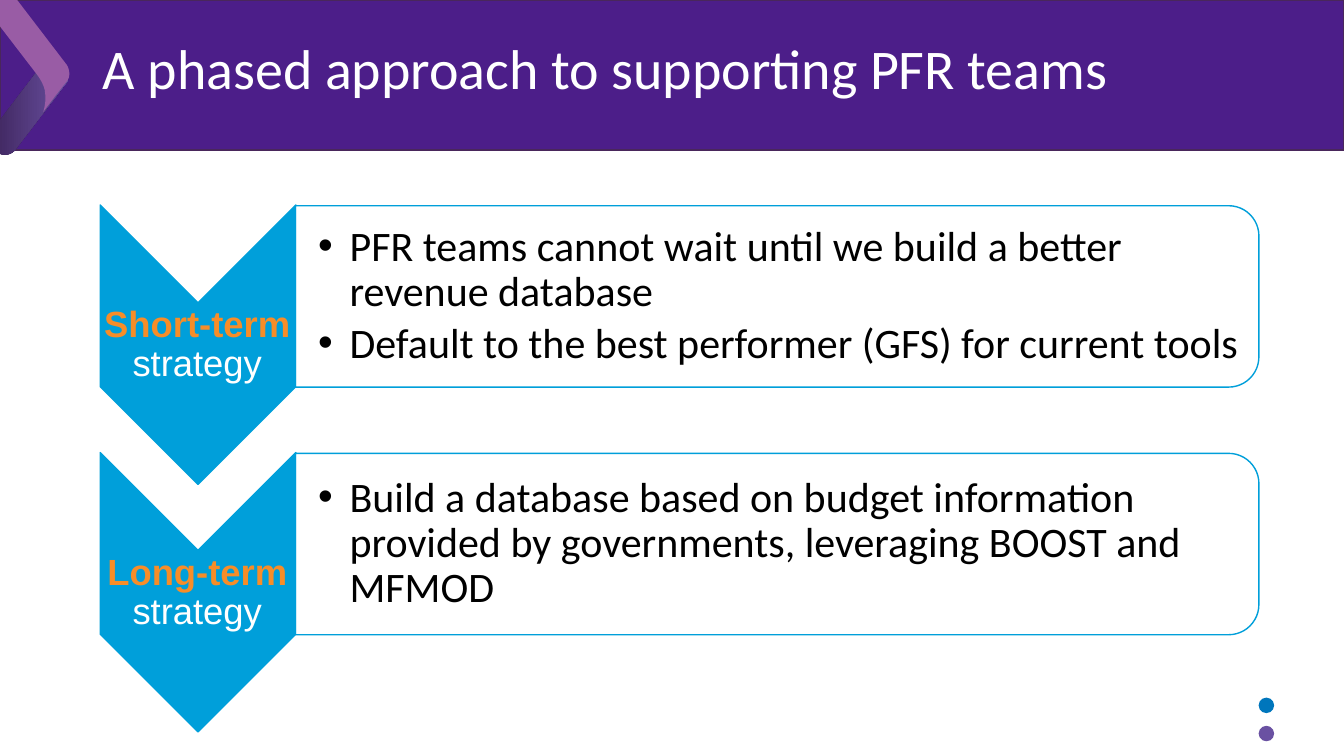
"""Build the slide on the phased approach to supporting PFR teams."""
from lxml import etree
from pptx import Presentation
from pptx.dml.color import RGBColor
from pptx.enum.shapes import MSO_SHAPE
from pptx.enum.text import MSO_ANCHOR, MSO_AUTO_SIZE, PP_ALIGN
from pptx.oxml.ns import qn
from pptx.util import Cm, Pt

RECTANGLE, OVAL, CHEVRON = MSO_SHAPE.RECTANGLE, MSO_SHAPE.OVAL, MSO_SHAPE.CHEVRON
ROUNDED_PANEL = MSO_SHAPE.ROUND_2_SAME_RECTANGLE
MIDDLE, NO_FIT = MSO_ANCHOR.MIDDLE, MSO_AUTO_SIZE.NONE
LEFT, CENTER = PP_ALIGN.LEFT, PP_ALIGN.CENTER

COLORS = {
    name: RGBColor.from_string(value)
    for name, value in {
        "banner": "4C1E89", "banner_line": "49275B",
        "fold_dark": "3D245B", "violet": "6A51A2", "ribbon": "995CA5",
        "dot_blue": "0076BC", "sky": "009FDA", "orange": "F78D28",
        "white": "FFFFFF", "black": "000000",
    }.items()
}
CURVE_STEPS = 8
STAGE_PITCH = 6.24
STAGES = [
    ("Short-term ", [
        "PFR teams cannot wait until we build a better revenue database",
        "Default to the best performer (GFS) for current tools",
    ]),
    ("Long-term ", [
        "Build a database based on budget information provided by "
        "governments, leveraging BOOST and MFMOD",
    ]),
]
FOLD = [
    [(0.38, 3.78)], [(1.68, 2.08)],
    [(1.78, 1.96), (1.75, 1.75), (1.6, 1.65)], [(1.52, 1.57)],
    [(1.4, 1.47), (1.19, 1.5), (1.07, 1.63)], [(-0.23, 3.33)],
    [(-0.33, 3.45), (-0.3, 3.66), (-0.15, 3.78)], [(-0.08, 3.84)],
    [(0.08, 3.94), (0.28, 3.91), (0.38, 3.78)],
]
RIBBON = [
    [(0.91, 1.85)], [(-0.18, 0.43)],
    [(-0.3, 0.25), (-0.28, 0.03), (-0.13, -0.1)],
    [(0.05, -0.23), (0.28, -0.18), (0.41, -0.03)], [(1.68, 1.63)],
    [(1.75, 1.73), (1.78, 1.91), (1.7, 2.03)],
    [(1.65, 2.08), (1.09, 2.82), (1.09, 2.82)],
    [(1.09, 2.82), (1.17, 2.59), (1.14, 2.36)],
    [(1.14, 2.13), (0.91, 1.85), (0.91, 1.85)],
]


def add_filled_shape(kind, box, fill, line=None, rotation=0):
    """Add a flat preset shape; box is left, top, width, height in cm."""
    shape = slide.shapes.add_shape(kind, *map(Cm, box))
    shape.shadow.inherit = False
    shape.rotation = rotation
    shape.fill.solid()
    shape.fill.fore_color.rgb = COLORS[fill]
    if line:
        shape.line.color.rgb = COLORS[line]
        shape.line.width = Pt(1)
    else:
        shape.line.fill.background()
    return shape


def add_outline(segments):
    """Add a closed outline from one-point lines and three-point curves."""
    points = [segments[0][0]]
    for segment in segments[1:]:
        if len(segment) == 1:
            points += segment
            continue
        controls = [points[-1], *segment]
        for step in range(1, CURVE_STEPS + 1):
            t = step / CURVE_STEPS
            weights = ((1 - t) ** 3, 3 * t * (1 - t) ** 2, 3 * t * t * (1 - t), t ** 3)
            points.append(tuple(
                sum(weight * control[axis] for weight, control in zip(weights, controls))
                for axis in (0, 1)
            ))
    points = [(Cm(x), Cm(y)) for x, y in points]
    builder = slide.shapes.build_freeform(*points[0])
    builder.add_line_segments(points[1:], close=True)
    shape = builder.convert_to_shape()
    shape.shadow.inherit = False
    shape.line.fill.background()
    return shape


presentation = Presentation()
presentation.slide_width, presentation.slide_height = Cm(33.87), Cm(19.05)
slide = presentation.slides.add_slide(presentation.slide_layouts[3])
shape_tree = slide.shapes.element
title, *lists = slide.placeholders

add_filled_shape(RECTANGLE, (0, 0, 33.87, 3.78), "banner", "banner_line")
fold = add_outline(FOLD)
fold.fill.gradient()
fold.fill.gradient_angle = 0
for stop, name in zip(fold.fill.gradient_stops, ("fold_dark", "violet")):
    stop.color.rgb = COLORS[name]
ribbon = add_outline(RIBBON)
ribbon.fill.solid()
ribbon.fill.fore_color.rgb = COLORS["ribbon"]
for top, name in ((17.58, "dot_blue"), (18.29, "violet")):
    add_filled_shape(OVAL, (31.72, top, 0.39, 0.39), name)

for index, ((term, points), body) in enumerate(zip(STAGES, lists)):
    offset = index * STAGE_PITCH
    add_filled_shape(CHEVRON, (1.47, 6.22 + offset, 7.04, 4.93), "sky", "sky", 90)

    label = slide.shapes.add_textbox(Cm(2.51), Cm(7.65 + offset), Cm(4.93), Cm(2.11))
    paragraph = label.text_frame.paragraphs[0]
    paragraph.alignment = CENTER
    for text, name in ((term, "orange"), ("strategy", "white")):
        run = paragraph.add_run()
        run.text = text
        run.font.name, run.font.size = "Arial", Pt(26)
        run.font.bold = name == "orange"
        run.font.color.rgb = COLORS[name]
    paragraph.line_spacing = 0.9

    panel = add_filled_shape(
        ROUNDED_PANEL, (17.3, -4.67 + offset, 4.57, 24.28), "white", "sky", 90)
    fill_color = panel.element.spPr.find(qn("a:solidFill"))[0]
    etree.SubElement(fill_color, qn("a:alpha"), val="90000")

    shape_tree.append(body.element)
    body.left, body.top = Cm(7.44), Cm(5.41 + offset)
    body.width, body.height = Cm(24.08), Cm(4.11)
    body.text_frame.text = "\n".join(points)
    for paragraph in body.text_frame.paragraphs:
        properties = paragraph._p.get_or_add_pPr()
        properties.set("marL", str(Cm(0.79)))
        properties.set("indent", str(-Cm(0.79)))
        etree.SubElement(properties, qn("a:buFont"), typeface="Arial")
        etree.SubElement(properties, qn("a:buChar"), char="•")
        paragraph.alignment = LEFT
        paragraph.line_spacing = 0.9
        paragraph.space_before, paragraph.space_after = Pt(0), Pt(4.5)
        font = paragraph.runs[0].font
        font.name, font.size = "Calibri", Pt(30)
        font.color.rgb = COLORS["black"]

    for shape, left_inset in ((label, 0.05), (body, 0.58)):
        frame = shape.text_frame
        frame.word_wrap = True
        frame.auto_size = NO_FIT
        frame.vertical_anchor = MIDDLE
        frame.margin_left = Cm(left_inset)
        frame.margin_top = frame.margin_right = frame.margin_bottom = Cm(0.05)

shape_tree.append(title.element)
title.left, title.top, title.width, title.height = Cm(2.34), Cm(-0.03), Cm(29.21), Cm(3.68)
title.text_frame.text = "A phased approach to supporting PFR teams"
title.text_frame.vertical_anchor = MIDDLE
title.text_frame.auto_size = NO_FIT
paragraph = title.text_frame.paragraphs[0]
paragraph.alignment = LEFT
paragraph.line_spacing = 0.9
font = paragraph.runs[0].font
font.name, font.size = "Calibri", Pt(40)
font.color.rgb = COLORS["white"]

presentation.save("out.pptx")
